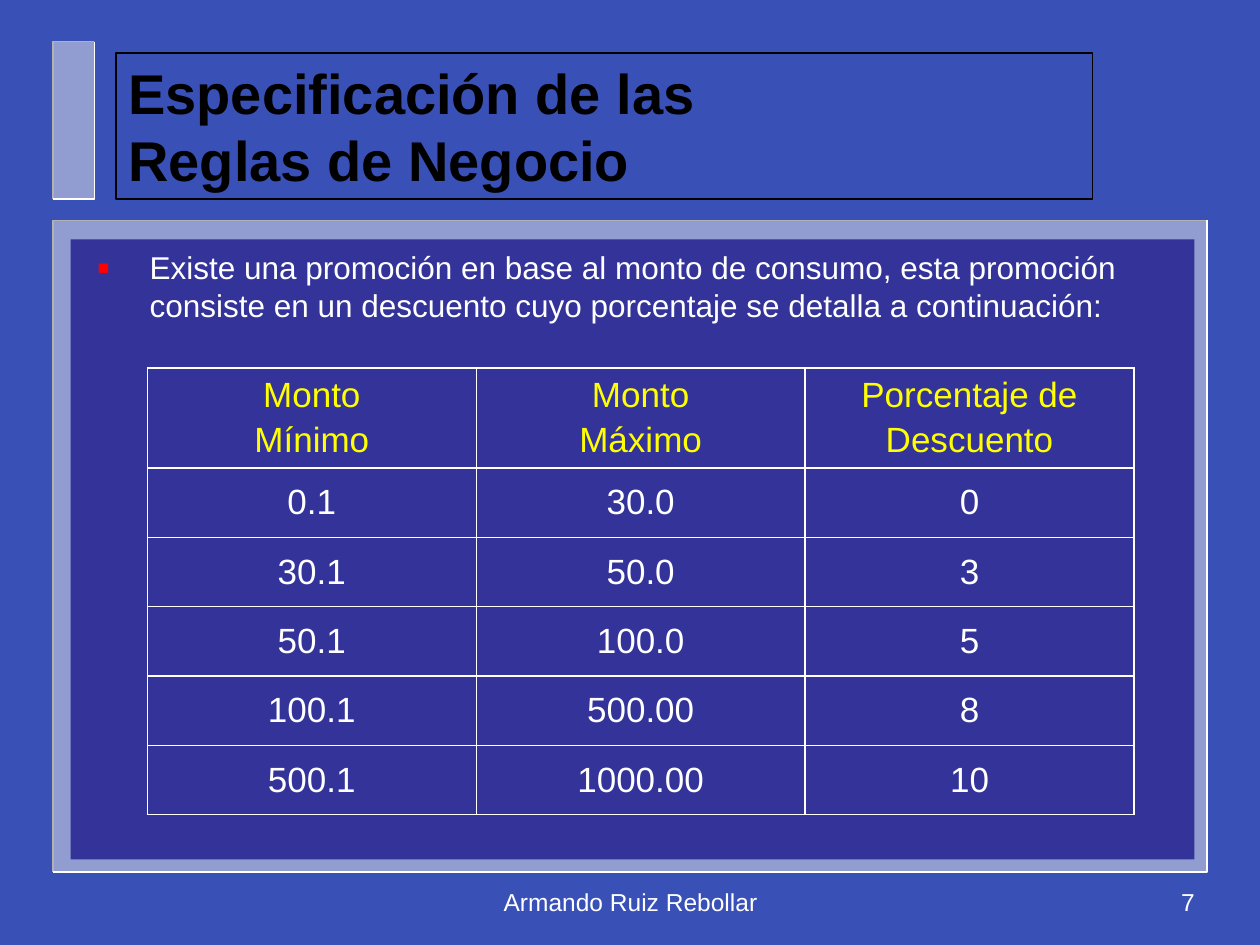
from lxml import etree
from pptx import Presentation
from pptx.dml.color import RGBColor
from pptx.enum.shapes import MSO_SHAPE
from pptx.enum.text import MSO_ANCHOR, PP_ALIGN
from pptx.oxml.ns import qn
from pptx.util import Inches, Pt

RECT = MSO_SHAPE.RECTANGLE
MIDDLE = MSO_ANCHOR.MIDDLE
LEFT, CENTER, RIGHT = PP_ALIGN.LEFT, PP_ALIGN.CENTER, PP_ALIGN.RIGHT
FONT = "Arial"
COLORS = {
    "background": "3951B7", "panel": "333399", "frame": "EAEAEA",
    "shade": "B2B2B2", "white": "FFFFFF", "black": "000000",
    "header": "FFFF00", "bullet": "FF0000",
}
TITLE = "Especificación de las\vReglas de Negocio"
BODY = ("Existe una promoción en base al monto de consumo, esta promoción "
        "consiste en un descuento cuyo porcentaje se detalla a continuación:")
ROWS = [
    ("Monto\nMínimo", "Monto\nMáximo", "Porcentaje de\nDescuento"),
    ("0.1", "30.0", "0"),
    ("30.1", "50.0", "3"),
    ("50.1", "100.0", "5"),
    ("100.1", "500.00", "8"),
    ("500.1", "1000.00", "10"),
]


def rgb(name):
    return RGBColor.from_string(COLORS[name])


def write(tf, text, size, color, align=LEFT, bold=False):
    tf.text = text
    for p in tf.paragraphs:
        p.alignment = align
        for r in p.runs:
            r.font.name = FONT
            r.font.size = Pt(size)
            r.font.bold = bold
            r.font.color.rgb = rgb(color)


def add_rect(slide, box, fill=None, line=None, alpha=None):
    s = slide.shapes.add_shape(RECT, *map(Inches, box))
    s.shadow.inherit = False
    if fill:
        s.fill.solid()
        s.fill.fore_color.rgb = rgb(fill)
    else:
        s.fill.background()
    if line:
        s.line.color.rgb = rgb(line)
        s.line.width = Pt(1)
    else:
        s.line.fill.background()
    if alpha:
        clr = s.fill._xPr.find(".//" + qn("a:srgbClr"))
        etree.SubElement(clr, qn("a:alpha"), val=str(alpha * 1000))
    return s


def add_bevel(slide, box):
    """Half-transparent box with a shaded top-left and a light bottom-right edge."""
    add_rect(slide, box, "frame", alpha=50)
    x, y, w, h = map(Inches, box)
    for corner, color in (((x, y), "shade"), ((x + w, y + h), "white")):
        builder = slide.shapes.build_freeform(x + w, y)
        builder.add_line_segments([corner, (x, y + h)], close=False)
        s = builder.convert_to_shape()
        s.shadow.inherit = False
        s.fill.background()
        s.line.color.rgb = rgb(color)
        s.line.width = Pt(1)


def add_title(slide, box):
    tf = add_rect(slide, box, line="black").text_frame
    tf.word_wrap = True
    tf.vertical_anchor = MIDDLE
    write(tf, TITLE, 32, "black", bold=True)


def add_label(slide, box, text, size, align=LEFT):
    tf = slide.shapes.add_textbox(*map(Inches, box)).text_frame
    tf.word_wrap = True
    write(tf, text, size, "white", align)
    return tf


def add_body(slide, box):
    tf = add_label(slide, box, BODY, 18)
    pPr = tf.paragraphs[0]._p.get_or_add_pPr()
    pPr.set("marL", str(Inches(0.42)))
    pPr.set("indent", str(-Inches(0.42)))
    clr = etree.SubElement(pPr, qn("a:buClr"))
    etree.SubElement(clr, qn("a:srgbClr"), val=COLORS["bullet"])
    etree.SubElement(pPr, qn("a:buSzPct"), val="120000")
    etree.SubElement(pPr, qn("a:buFont"), typeface=FONT)
    etree.SubElement(pPr, qn("a:buChar"), char="▪")


def add_footer(slide, box, text, align):
    add_label(slide, box, text, 14, align).vertical_anchor = MIDDLE


def format_cell(cell, text, color):
    cell.vertical_anchor = MIDDLE
    cell.margin_left = cell.margin_right = Inches(0.04)
    cell.margin_top = cell.margin_bottom = Inches(0.04)
    write(cell.text_frame, text, 20, color, CENTER)
    for p in cell.text_frame.paragraphs[1:]:
        p.space_before = Pt(3.5)
    tcPr = cell._tc.get_or_add_tcPr()
    for side in ("lnL", "lnR", "lnT", "lnB"):
        ln = etree.SubElement(tcPr, qn("a:" + side), w=str(Pt(1)))
        fill = etree.SubElement(ln, qn("a:solidFill"))
        etree.SubElement(fill, qn("a:srgbClr"), val=COLORS["white"])
    cell.fill.background()


def add_discounts(slide, box, header_height):
    frame = slide.shapes.add_table(len(ROWS), len(ROWS[0]), *map(Inches, box))
    table = frame.table
    table.first_row = table.horz_banding = False
    row_height = (box[3] - header_height) / (len(ROWS) - 1)
    for i, values in enumerate(ROWS):
        table.rows[i].height = Inches(row_height if i else header_height)
        for j, text in enumerate(values):
            format_cell(table.cell(i, j), text, "white" if i else "header")


def main():
    prs = Presentation()
    prs.slide_width, prs.slide_height = Inches(10), Inches(7.5)
    slide = prs.slides.add_slide(prs.slide_layouts[6])
    slide.background.fill.solid()
    slide.background.fill.fore_color.rgb = rgb("background")
    add_bevel(slide, (0.42, 1.75, 9.16, 5.17))
    add_bevel(slide, (0.42, 0.33, 0.33, 1.25))
    add_footer(slide, (7.5, 6.91, 2.08, 0.5), "7", RIGHT)
    add_title(slide, (0.92, 0.42, 7.75, 1.16))
    add_rect(slide, (0.56, 1.9, 8.92, 4.92), "panel")
    add_discounts(slide, (1.17, 2.92, 7.83, 3.51), 0.76)
    add_body(slide, (0.67, 1.92, 8.83, 0.7))
    add_footer(slide, (3.42, 6.91, 3.17, 0.5), "Armando Ruiz Rebollar", CENTER)
    prs.save("out.pptx")


if __name__ == "__main__":
    main()
